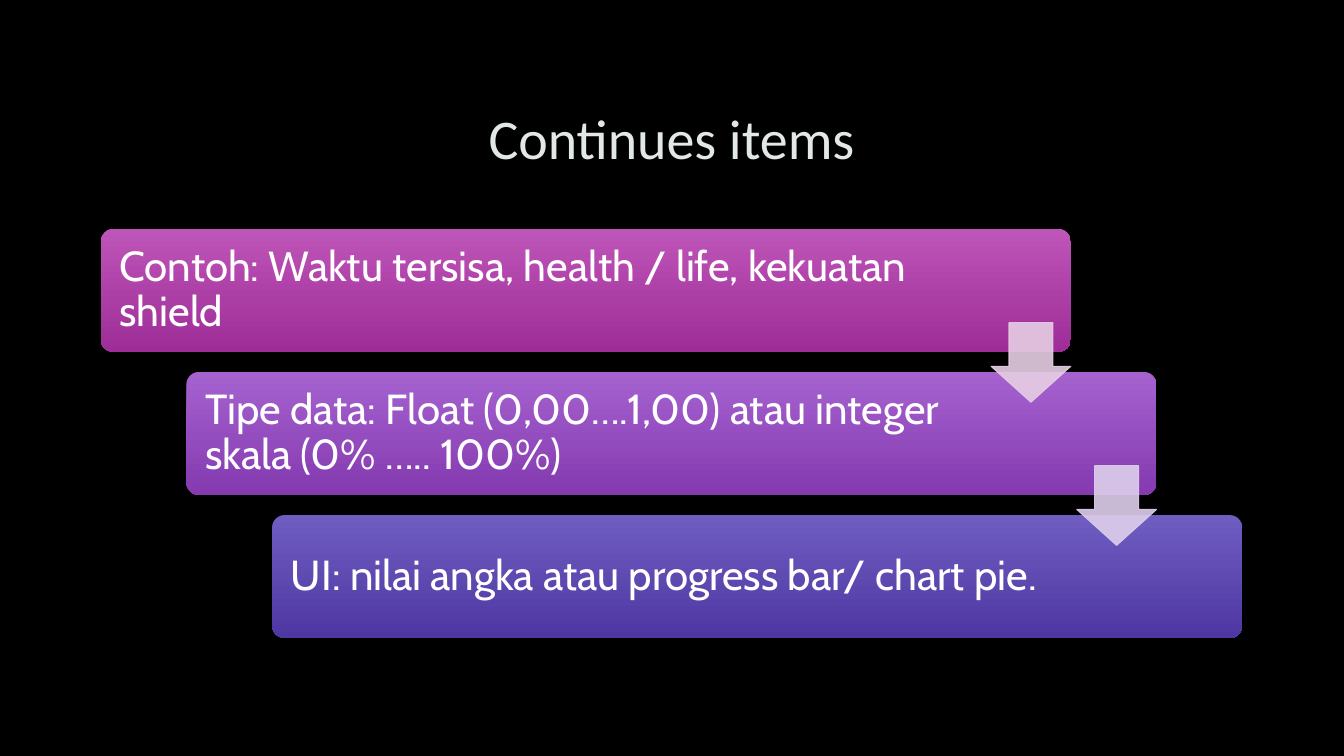
import pptx
import pptx.dml.color
import pptx.enum.shapes
import pptx.enum.text
import pptx.oxml
import pptx.util
from pptx.dml.color import RGBColor
from pptx.util import Inches

BLACK = RGBColor(0x00, 0x00, 0x00)
WHITE = RGBColor(0xFF, 0xFF, 0xFF)
TITLE_COLOR = RGBColor(0xE2, 0xE8, 0xE5)
MAGENTA = RGBColor(0xBE, 0x55, 0xB8), RGBColor(0x9E, 0x2D, 0x98)
PURPLE = RGBColor(0xA5, 0x62, 0xCF), RGBColor(0x85, 0x3A, 0xB0)
INDIGO = RGBColor(0x70, 0x5D, 0xC2), RGBColor(0x4E, 0x37, 0xA2)
PALE_PINK = RGBColor(0xE6, 0xCE, 0xE4)
PALE_PURPLE = RGBColor(0xDE, 0xCF, 0xEC)

STEP_X, STEP_Y = 0.85, 1.42
STEPS = [
    ("Contoh: Waktu tersisa, health / life, kekuatan shield", MAGENTA, 8.31),
    ("Tipe data: Float (0,00….1,00) atau integer skala (0% ….. 100%)", PURPLE, 7.91),
    ("UI: nilai angka atau progress bar/ chart pie.", INDIGO, 7.91),
]
ARROW_COLORS = [PALE_PINK, PALE_PURPLE]


def write(box, text, font_name, size, color, align):
    frame = box.text_frame
    frame.word_wrap = True
    frame.vertical_anchor = pptx.enum.text.MSO_ANCHOR.MIDDLE
    para = frame.paragraphs[0]
    para.text = text
    para.alignment = align
    para.font.name = font_name
    para.font.size = pptx.util.Pt(size)
    para.font.color.rgb = color
    return para


def add_title(page, text):
    box = page.shapes.add_textbox(Inches(1), Inches(0.67), Inches(11.32), Inches(1.38))
    write(box, text, "Calibri", 40, TITLE_COLOR, pptx.enum.text.PP_ALIGN.CENTER)


def add_step(page, index, text, colors, text_width):
    box = page.shapes.add_shape(
        pptx.enum.shapes.MSO_SHAPE.ROUNDED_RECTANGLE,
        Inches(1 + index * STEP_X), Inches(2.27 + index * STEP_Y),
        Inches(9.62), Inches(1.22))
    box.adjustments[0] = 0.1
    box.shadow.inherit = False
    box.line.fill.background()
    box.fill.gradient()
    box.fill.gradient_angle = 270
    for stop, color, position in zip(box.fill.gradient_stops, colors, (0, 1)):
        stop.color.rgb = color
        stop.position = position
    para = write(box, text, "Cabin", 30, WHITE, pptx.enum.text.PP_ALIGN.LEFT)
    para.line_spacing = 0.9
    frame = box.text_frame
    frame.margin_left = Inches(0.15)
    frame.margin_right = Inches(9.62 - 0.04 - text_width + 0.12)


def add_arrow(page, index, color):
    arrow = page.shapes.add_shape(
        pptx.enum.shapes.MSO_SHAPE.DOWN_ARROW,
        Inches(9.83 + index * STEP_X), Inches(3.2 + index * STEP_Y),
        Inches(0.79), Inches(0.79))
    arrow.adjustments[0] = 0.55
    arrow.adjustments[1] = 0.45
    arrow.shadow.inherit = False
    arrow.line.width = pptx.util.Pt(0.75)
    for fill in (arrow.fill, arrow.line.fill):
        fill.solid()
        fill.fore_color.rgb = color
    for tint in arrow.element.spPr.iter(pptx.oxml.ns.qn("a:srgbClr")):
        alpha = tint.makeelement(pptx.oxml.ns.qn("a:alpha"), {"val": "90000"})
        tint.append(alpha)


def main():
    deck = pptx.Presentation()
    deck.slide_width = Inches(13.33)
    deck.slide_height = Inches(7.5)
    page = deck.slides.add_slide(deck.slide_layouts[6])
    page.background.fill.solid()
    page.background.fill.fore_color.rgb = BLACK
    add_title(page, "Continues items")
    for index, (text, colors, text_width) in enumerate(STEPS):
        add_step(page, index, text, colors, text_width)
    for index, color in enumerate(ARROW_COLORS):
        add_arrow(page, index, color)
    deck.save("out.pptx")


if __name__ == "__main__":
    main()
